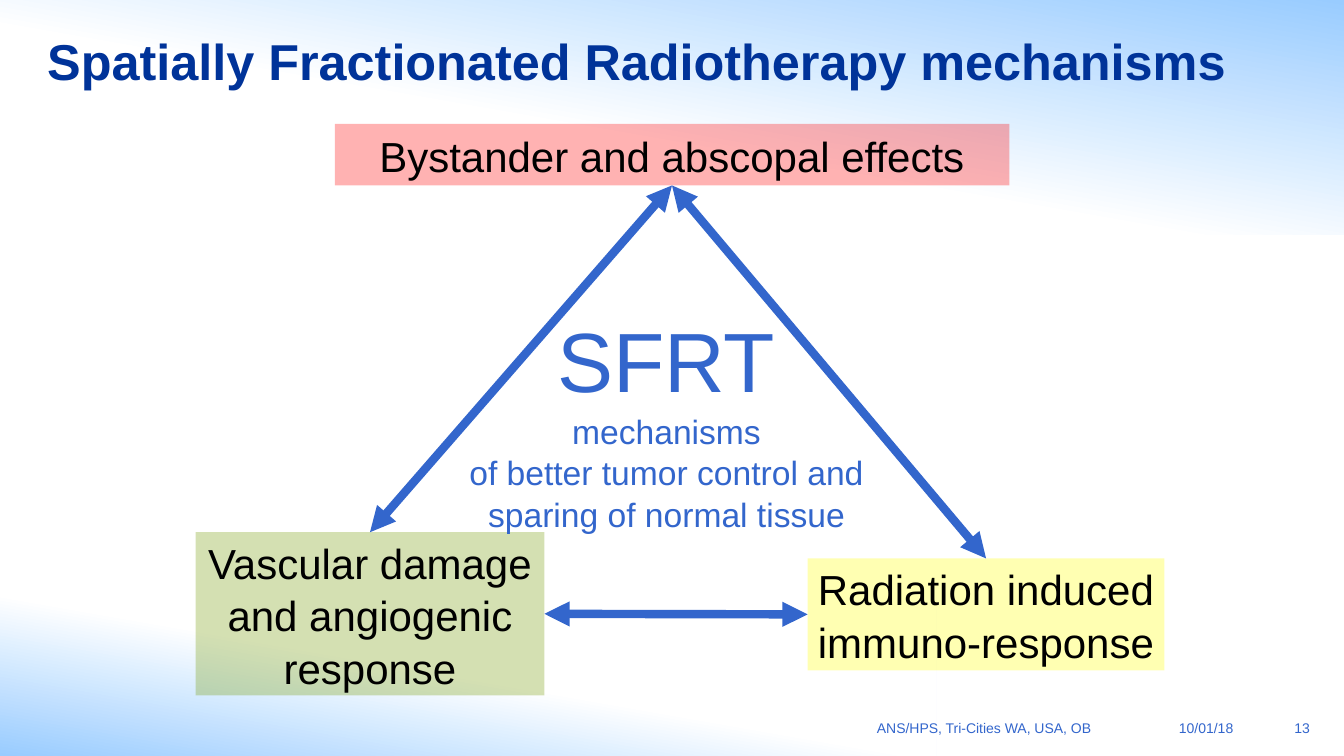
from pptx import Presentation
from pptx import util as u
from pptx.dml.color import RGBColor
from pptx.enum import shapes, text
from pptx.oxml.ns import qn
from lxml import etree

PX = 9144
SKY = RGBColor(0x99, 0xCC, 0xFF)
WHITE = RGBColor(0xFF, 0xFF, 0xFF)
NAVY = RGBColor(0x00, 0x33, 0x99)
BLUE = RGBColor(0x33, 0x66, 0xCC)
BLACK = RGBColor(0, 0, 0)
RED = RGBColor(0xFF, 0, 0)
YELLOW = RGBColor(0xFF, 0xFF, 0)
GREEN = RGBColor(0x73, 0x99, 0)
LEFT, CENTER, RIGHT = text.PP_ALIGN.LEFT, text.PP_ALIGN.CENTER, text.PP_ALIGN.RIGHT
TOP, MIDDLE = text.MSO_ANCHOR.TOP, text.MSO_ANCHOR.MIDDLE

BANDS = [((0, 580, 929, 170), 0.48, 80), ((0, 0, 1333, 233), 0.56, 260)]
TITLE = ((37, 13, 1199, 94), "Spatially Fractionated Radiotherapy mechanisms")
FOOTER = [
    ((1097, 709, 136, 32), "10/01/18"),
    ((856, 709, 236, 32), "ANS/HPS, Tri-Cities WA, USA, OB"),
    ((1235, 709, 74, 32), "13"),
]
MECHANISMS = {
    "bystander": ((332, 123, 669, 61), RED, ["Bystander and abscopal effects"]),
    "immune": ((801, 554, 354, 111), YELLOW, ["Radiation induced immuno-response"]),
    "vascular": ((194, 528, 346, 162), GREEN, ["Vascular damage", "and angiogenic response"]),
}
CORE = ((419, 300, 484, 232), [
    ("SFRT", 60),
    ("mechanisms", 24),
    ("of better tumor control and sparing of normal tissue", 24),
])
ARROWS = [
    ("bystander", 2, "immune", 0),
    ("immune", 1, "vascular", 3),
    ("bystander", 2, "vascular", 0),
]


def emu(box):
    return [v * PX for v in box]


def write(sp, lines, color, align, anchor, bold=False, spacing=None):
    tf = sp.text_frame
    tf.word_wrap = True
    tf.vertical_anchor = anchor
    tf.text = "\n".join(line for line, size in lines)
    for p, (line, size) in zip(tf.paragraphs, lines):
        p.alignment = align
        if spacing:
            p.line_spacing = spacing
        font = p.runs[0].font
        font.name, font.size, font.bold = "Arial", u.Pt(size), bold
        font.color.rgb = color


def add_rect(s, box):
    sp = s.shapes.add_shape(shapes.MSO_SHAPE.RECTANGLE, *emu(box))
    sp.shadow.inherit = False
    sp.line.fill.background()
    return sp


def add_band(s, box, fade, angle):
    fill = add_rect(s, box).fill
    fill.gradient()
    fill.gradient_angle = angle
    for stop, position, color in zip(fill.gradient_stops, (0, fade), (SKY, WHITE)):
        stop.position = position
        stop.color.rgb = color


def add_mechanism(s, box, color, lines):
    sp = add_rect(s, box)
    sp.fill.solid()
    sp.fill.fore_color.rgb = color
    clr = sp._element.spPr.find(qn("a:solidFill"))[0]
    etree.SubElement(clr, qn("a:alpha")).set("val", "30000")
    write(sp, [(line, 30) for line in lines], BLACK, CENTER, MIDDLE, spacing=1.04)
    return sp


def add_arrow(s, start, start_site, end, end_site):
    cx = s.shapes.add_connector(shapes.MSO_CONNECTOR.STRAIGHT, 0, 0, 0, 0)
    cx.begin_connect(start, start_site)
    cx.end_connect(end, end_site)
    cx.line.color.rgb = BLUE
    cx.line.width = u.Pt(6)
    ln = cx.line._get_or_add_ln()
    for tag in ("a:headEnd", "a:tailEnd"):
        etree.SubElement(ln, qn(tag)).set("type", "triangle")
    etree.SubElement(cx._element.spPr, qn("a:effectLst"))


def main():
    prs = Presentation()
    prs.slide_width, prs.slide_height = 1333 * PX, 750 * PX
    s = prs.slides.add_slide(prs.slide_layouts[6])
    for band in BANDS:
        add_band(s, *band)

    box, title = TITLE
    write(s.shapes.add_textbox(*emu(box)), [(title, 36)], NAVY, LEFT, MIDDLE, bold=True)
    for box, line in FOOTER:
        write(s.shapes.add_textbox(*emu(box)), [(line, 10)], BLUE, RIGHT, TOP)

    nodes = {name: add_mechanism(s, *item) for name, item in MECHANISMS.items()}
    box, lines = CORE
    write(s.shapes.add_textbox(*emu(box)), lines, BLUE, CENTER, MIDDLE, spacing=1.04)
    for start, start_site, end, end_site in ARROWS:
        add_arrow(s, nodes[start], start_site, nodes[end], end_site)
    prs.save("out.pptx")


if __name__ == "__main__":
    main()
